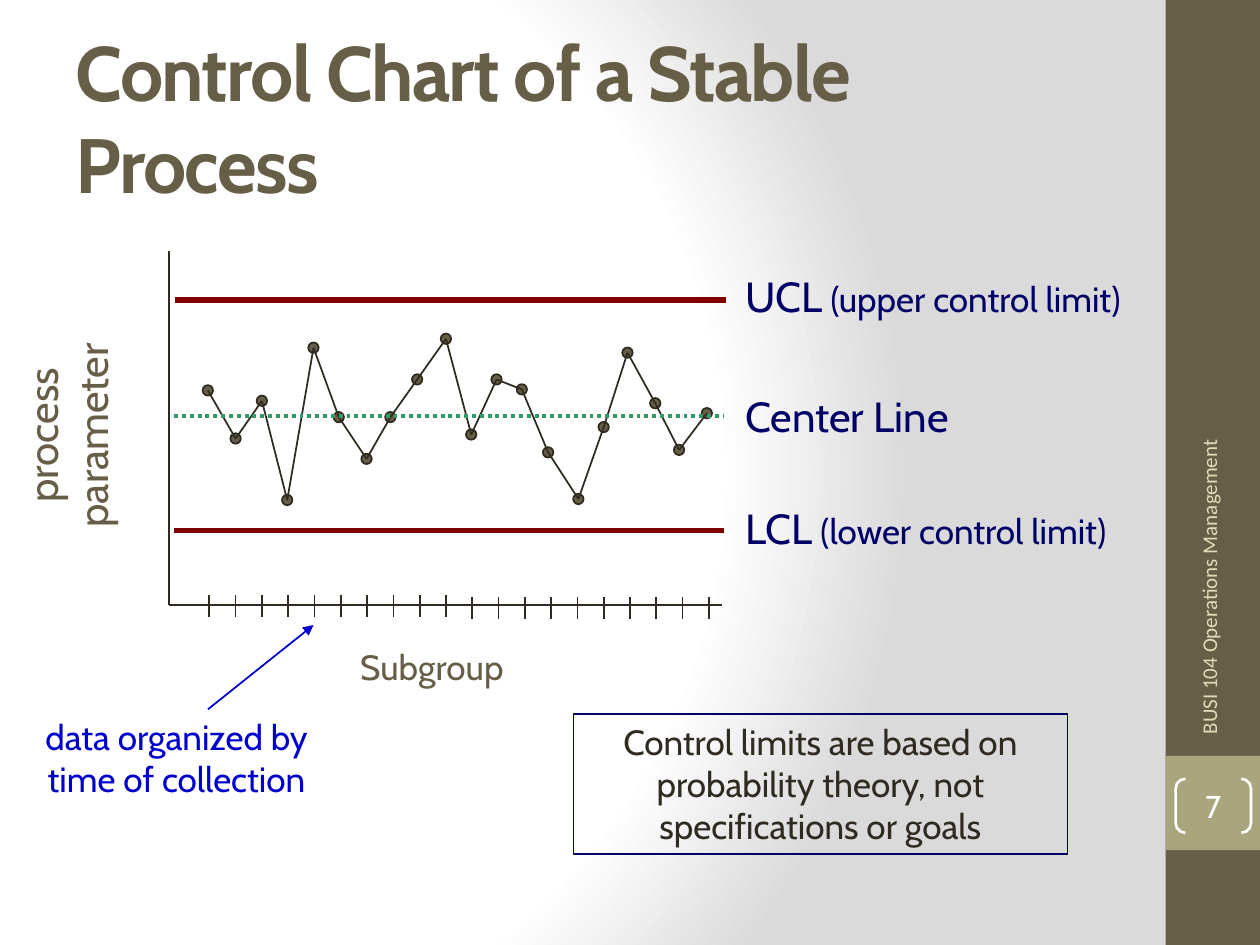
from itertools import pairwise

from pptx import Presentation
from pptx.dml.color import RGBColor
from pptx.enum.dml import MSO_LINE
from pptx.enum.shapes import MSO_CONNECTOR, MSO_SHAPE
from pptx.enum.text import MSO_ANCHOR, MSO_AUTO_SIZE, PP_ALIGN
from pptx.oxml import parse_xml
from pptx.oxml.ns import nsdecls, qn
from pptx.util import Cm, Pt

RECTANGLE, OVAL, BRACKETS = MSO_SHAPE.RECTANGLE, MSO_SHAPE.OVAL, MSO_SHAPE.DOUBLE_BRACKET
STRAIGHT = MSO_CONNECTOR.STRAIGHT
LEFT, CENTER = PP_ALIGN.LEFT, PP_ALIGN.CENTER
TOP, MIDDLE = MSO_ANCHOR.TOP, MSO_ANCHOR.MIDDLE
NO_FIT, GROW = MSO_AUTO_SIZE.NONE, MSO_AUTO_SIZE.SHAPE_TO_FIT_TEXT
DOTTED = MSO_LINE.ROUND_DOT

BROWN = RGBColor(0x67, 0x5E, 0x47)
OLIVE = RGBColor(0xA9, 0xA5, 0x7C)
SAND = RGBColor(0xDF, 0xDC, 0xB7)
INK = RGBColor(0x2F, 0x2B, 0x20)
MAROON = RGBColor(0x80, 0x00, 0x00)
GREEN = RGBColor(0x33, 0x99, 0x66)
NAVY = RGBColor(0x00, 0x00, 0x66)
BLUE = RGBColor(0x00, 0x00, 0xCC)
WHITE = RGBColor(0xFF, 0xFF, 0xFF)

# Centres of the plotted samples, in centimetres on the slide
SAMPLES = [
    (4.19, 7.87), (4.75, 8.84), (5.28, 8.08), (5.79, 10.08), (6.32, 7.01),
    (6.83, 8.41), (7.39, 9.25), (7.87, 8.41), (8.41, 7.65), (8.99, 6.83),
    (9.5, 8.76), (10.01, 7.65), (10.52, 7.85), (11.05, 9.12), (11.66, 10.06),
    (12.17, 8.61), (12.65, 7.11), (13.21, 8.13), (13.69, 9.07), (14.25, 8.33),
]
DOT = 0.21
AXIS_X, AXIS_Y = 3.4, 12.19
FIRST_TICK, TICK_GAP, TICK_LENGTH = 4.22, 0.53, 0.45


class SlideBuilder:
    """Draws on one slide; all positions are in centimetres."""

    def __init__(self, slide, font):
        self.slide = slide
        self.font = font

    def background(self):
        self.slide.background.fill.solid()
        properties = self.slide.element.find(".//" + qn("p:bgPr"))
        stops = "".join(
            f'<a:gs pos="{position}"><a:srgbClr val="{color}"/></a:gs>'
            for position, color in ((0, "FFFFFF"), (75000, "FFFFFF"), (100000, "DADADA"))
        )
        gradient = parse_xml(
            f'<a:gradFill {nsdecls("a")} rotWithShape="1"><a:gsLst>{stops}</a:gsLst>'
            '<a:path path="circle"><a:fillToRect l="20000" t="50000" r="100000" b="50000"/>'
            "</a:path></a:gradFill>"
        )
        properties.replace(properties.find(qn("a:solidFill")), gradient)

    def title(self, text, place):
        title = self.slide.shapes.title
        title.left, title.top, title.width, title.height = map(Cm, place)
        self.add_text(title, [(text, 44)], BROWN, anchor=MIDDLE, fit=NO_FIT)
        span = title.text_frame.paragraphs[0].runs[0]
        span.font.bold = True
        span.font._element.set("spc", "-100")

    def add_text(self, box, spans, color, align=LEFT, anchor=TOP, fit=GROW, wrap=True, font=None):
        """Fill the box with one paragraph made of (text, size) spans."""
        frame = box.text_frame
        frame.word_wrap = wrap
        frame.auto_size = fit
        frame.vertical_anchor = anchor
        para = frame.paragraphs[0]
        para.alignment = align
        for text, size in spans:
            span = para.add_run()
            span.text = text
            span.font.size = Pt(size)
            span.font.name = font or self.font
            span.font.color.rgb = color

    def label(self, spans, place, color, rotation=0, **style):
        box = self.slide.shapes.add_textbox(*map(Cm, place))
        box.rotation = rotation
        self.add_text(box, spans, color, **style)

    def shape(self, kind, place, fill=None, line=None, weight=1):
        shape = self.slide.shapes.add_shape(kind, *map(Cm, place))
        shape.shadow.inherit = False
        if fill is None:
            shape.fill.background()
        else:
            shape.fill.solid()
            shape.fill.fore_color.rgb = fill
        if line is None:
            shape.line.fill.background()
        else:
            shape.line.color.rgb = line
            shape.line.width = Pt(weight)
        return shape

    def line(self, start, end, color=INK, weight=1, dash=None, arrow=False):
        line = self.slide.shapes.add_connector(STRAIGHT, *map(Cm, (*start, *end)))
        line.line.color.rgb = color
        line.line.width = Pt(weight)
        if dash is not None:
            line.line.dash_style = dash
        properties = line._element.spPr
        if arrow:
            outline = properties.find(qn("a:ln"))
            outline.append(parse_xml(f'<a:tailEnd {nsdecls("a")} type="triangle"/>'))
        properties.append(parse_xml(f'<a:effectLst {nsdecls("a")}/>'))


def draw_control_chart(page):
    page.line((AXIS_X, 5.05), (AXIS_X, AXIS_Y))
    page.line((AXIS_X, AXIS_Y), (14.55, AXIS_Y))
    for x, y in SAMPLES:
        page.shape(OVAL, (x - DOT / 2, y - DOT / 2, DOT, DOT), BROWN, INK)
    for index in range(len(SAMPLES)):
        x = FIRST_TICK + index * TICK_GAP
        top = 11.99 if index < len(SAMPLES) / 2 else 12.03
        page.line((x, top), (x, top + TICK_LENGTH))
    for start, end in pairwise(SAMPLES):
        page.line(start, end)
    page.line((3.51, 10.69), (14.6, 10.69), MAROON, 3)
    page.line((3.53, 6.05), (14.63, 6.05), MAROON, 3)
    page.line((3.51, 8.38), (14.6, 8.38), GREEN, 2.25, DOTTED)


def main():
    deck = Presentation()
    deck.slide_width, deck.slide_height = Cm(25.4), Cm(19.05)
    page = SlideBuilder(deck.slides.add_slide(deck.slide_layouts[5]), "Cabin")

    page.background()
    page.shape(RECTANGLE, (23.5, 0, 1.9, 19.05), BROWN)
    page.shape(RECTANGLE, (23.5, 15.24, 1.9, 1.9), OLIVE)
    page.title("Control Chart of a Stable Process", (1.27, 0.76, 21.16, 3.18))
    page.label([("BUSI 104 Operations Management", 12)], (19.71, 9.88, 9.32, 1.02), SAND,
               rotation=270, anchor=MIDDLE, fit=NO_FIT, font="Calibri")

    draw_control_chart(page)
    page.label([("Subgroup", 20)], (7.01, 12.88, 3.43, 1.12), BROWN, wrap=False)
    page.label([("process parameter", 24)], (-1.3, 7.62, 5.33, 2.31), BROWN,
               rotation=270, align=CENTER)
    page.label([("UCL", 24), (" (upper control limit)", 20)], (14.78, 5.33, 8.94, 1.27), NAVY)
    page.label([("LCL", 24), (" (lower control limit)", 20)], (14.78, 10.01, 8.71, 1.27), NAVY)
    page.label([("Center Line", 24)], (14.78, 7.75, 5.92, 1.27), NAVY)

    page.label([("data organized by time of collection", 20)], (0.36, 14.3, 6.4, 1.96), BLUE,
               align=CENTER)
    page.line((4.19, 14.3), (6.32, 12.6), BLUE, arrow=True)

    note = page.shape(RECTANGLE, (11.56, 14.4, 9.96, 2.82), line=NAVY)
    page.add_text(note, [("Control limits are based on probability theory, "
                          "not specifications or goals", 20)], INK, align=CENTER)

    number = page.shape(BRACKETS, (23.7, 15.7, 1.52, 1.09), line=WHITE, weight=1.5)
    number.adjustments[0] = 0.18
    frame = number.text_frame
    frame.margin_left = frame.margin_right = frame.margin_top = frame.margin_bottom = 0
    page.add_text(number, [("7", 18)], WHITE, align=CENTER, anchor=MIDDLE, fit=NO_FIT)

    deck.save("out.pptx")


if __name__ == "__main__":
    main()
